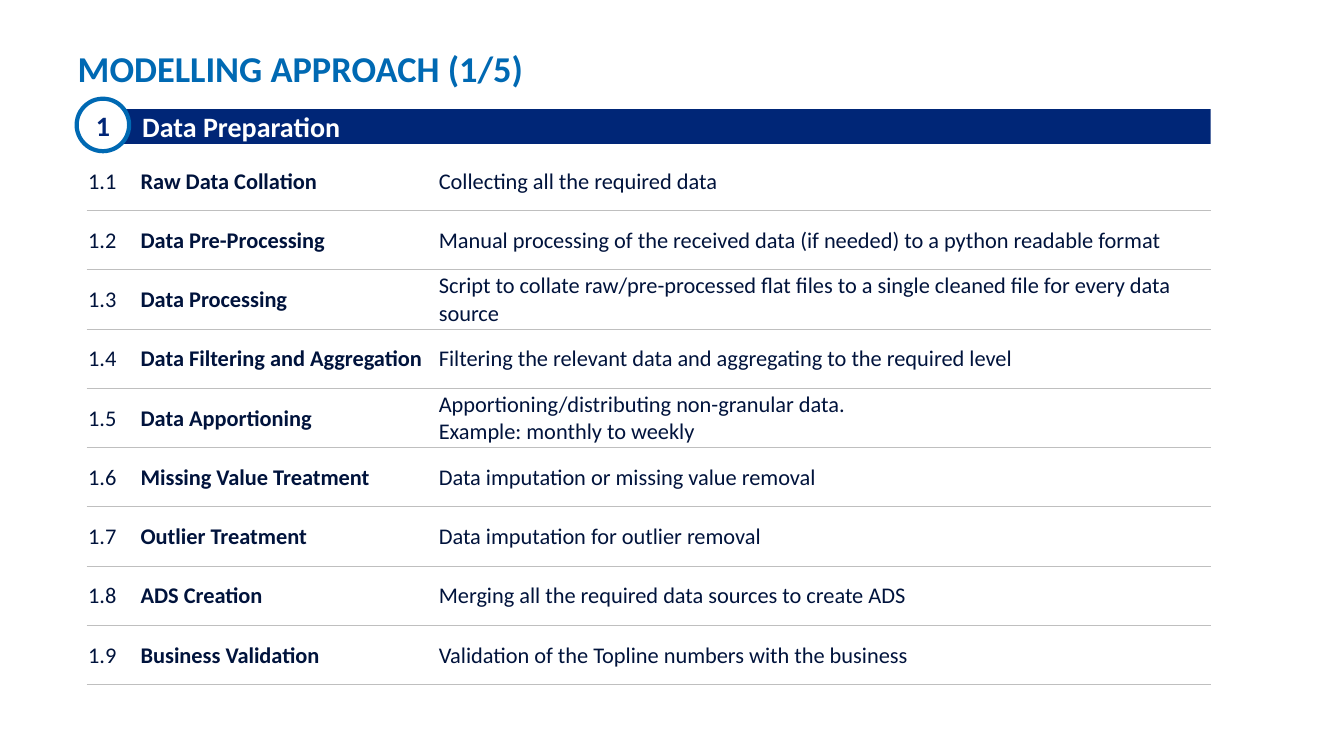
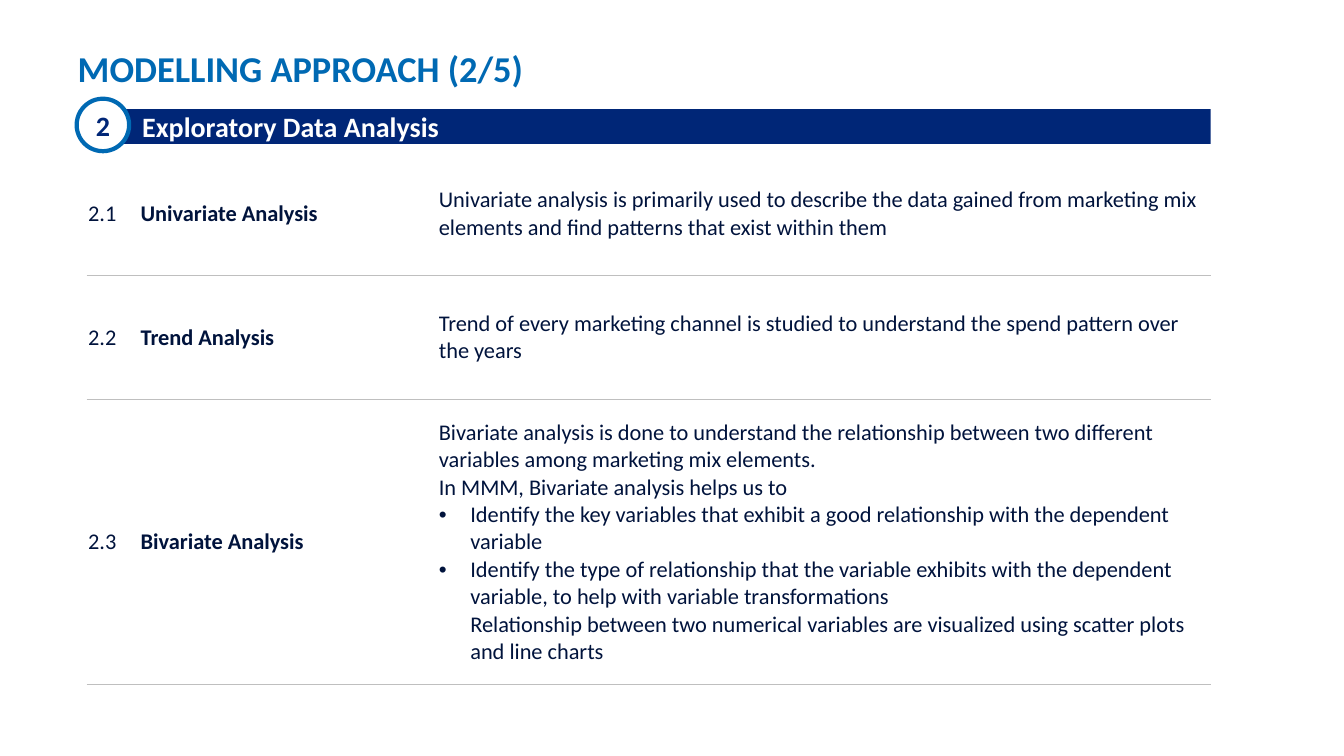
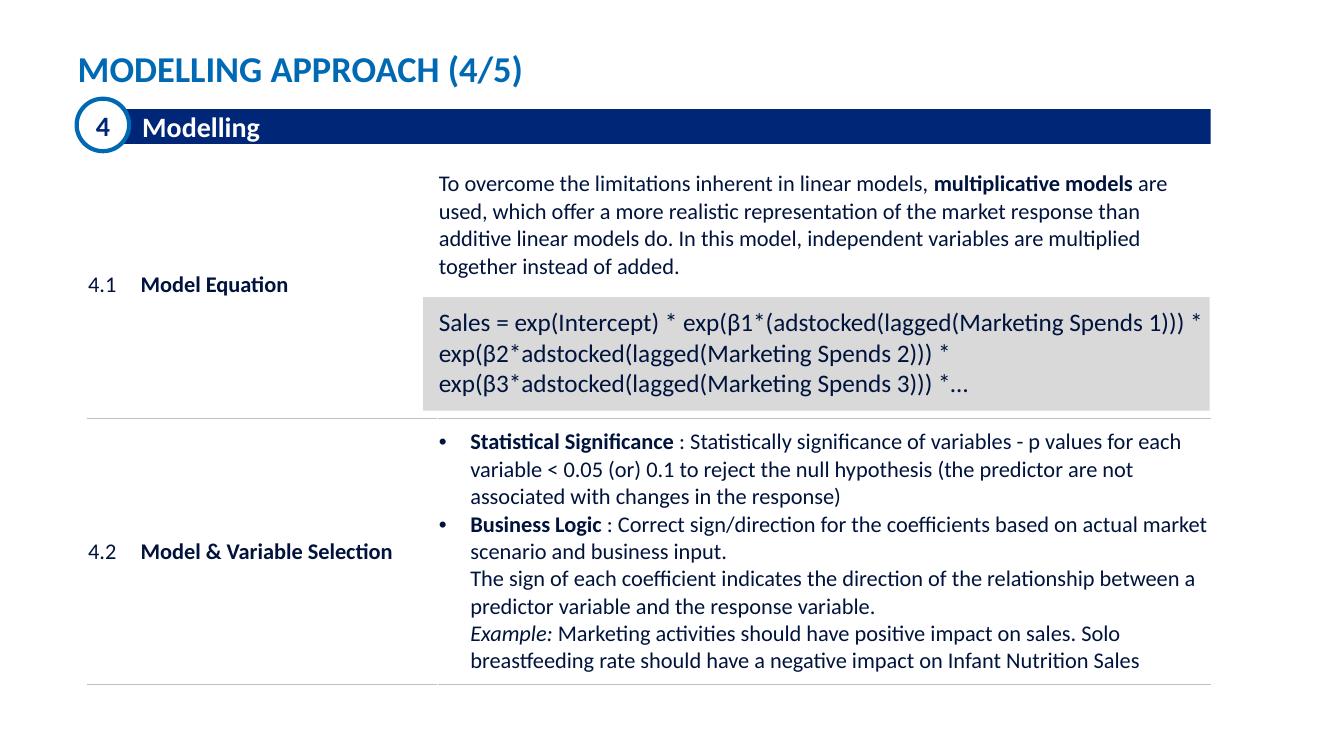
from dataclasses import dataclass

from lxml.etree import SubElement
from pptx import Presentation
from pptx.dml.color import RGBColor
from pptx.enum.shapes import MSO_SHAPE as SHAPE
from pptx.enum.text import MSO_ANCHOR as ANCHOR, PP_ALIGN as ALIGN
from pptx.oxml.ns import qn
from pptx.util import Emu, Pt

FONT = "Calibri"
BLUE = RGBColor(0x00, 0x69, 0xB3)
NAVY = RGBColor(0x00, 0x26, 0x77)
INK = RGBColor(0x00, 0x13, 0x3C)
WHITE = RGBColor(0xFF, 0xFF, 0xFF)
RULE = RGBColor(0xBF, 0xBF, 0xBF)
GREY = RGBColor(0xD9, 0xD9, 0xD9)

PX = 9525
SLIDE_SIZE = (1280, 720)
TITLE_BOX = (74, 5, 1080, 81)
BAND_BOX = (114, 104, 1039, 33)
BADGE_BOX = (73, 94, 50, 50)
EQUATION_BOX = (403, 283, 749, 108)
TABLE_LEFT, TABLE_TOP, TABLE_HEIGHT = 83, 144, 508
COLUMNS = (50, 284, 736)
BAND_INDENT = 12
BULLET_INDENT = 30


@dataclass(frozen=True)
class Run:
    text: str
    bold: bool = False
    italic: bool = False


@dataclass(frozen=True)
class Para:
    runs: tuple[Run, ...]
    bullet: bool = False
    size: int = 16
    before: float = 0


@dataclass(frozen=True)
class Step:
    name: str
    detail: tuple[Para, ...]
    weight: int = 1
    open_edge: bool = False  # no border between name and detail


@dataclass(frozen=True)
class Stage:
    number: int
    name: str
    steps: tuple[Step, ...]
    equation: bool = False


def plain(text: str, **options) -> Para:
    return Para((Run(text),), **options)


def step(name: str, text: str, weight: int = 1) -> Step:
    return Step(name, (plain(text),), weight)


STAGES = (
    Stage(1, "Data Preparation", (
        step("Raw Data Collation", "Collecting all the required data"),
        step("Data Pre-Processing",
             "Manual processing of the received data (if needed) to a python readable format"),
        step("Data Processing",
             "Script to collate raw/pre-processed flat files to a single cleaned file "
             "for every data source"),
        step("Data Filtering and Aggregation",
             "Filtering the relevant data and aggregating to the required level"),
        step("Data Apportioning",
             "Apportioning/distributing non-granular data.\nExample: monthly to weekly"),
        step("Missing Value Treatment", "Data imputation or missing value removal"),
        step("Outlier Treatment", "Data imputation for outlier removal"),
        step("ADS Creation", "Merging all the required data sources to create ADS"),
        step("Business Validation", "Validation of the Topline numbers with the business"),
    )),
    Stage(2, "Exploratory Data Analysis", (
        step("Univariate Analysis",
             "Univariate analysis is primarily used to describe the data gained from "
             "marketing mix elements and find patterns that exist within them", 118),
        step("Trend Analysis",
             "Trend of every marketing channel is studied to understand the spend pattern "
             "over the years", 118),
        Step("Bivariate Analysis", (
            plain("Bivariate analysis is done to understand the relationship between two "
                  "different variables among marketing mix elements.\n"
                  "In MMM, Bivariate analysis helps us to"),
            plain("Identify the key variables that exhibit a good relationship with the "
                  "dependent variable", bullet=True),
            plain("Identify the type of relationship that the variable exhibits with the "
                  "dependent variable, to help with variable transformations\n"
                  "Relationship between two numerical variables are visualized using "
                  "scatter plots and line charts", bullet=True),
        ), 272),
    )),
    Stage(4, "Modelling", (
        Step("Model Equation", (
            Para((
                Run("To overcome the limitations inherent in linear models, "),
                Run("multiplicative models", bold=True),
                Run(" are used, which offer a more realistic representation of the market "
                    "response than additive linear models do. In this model, independent "
                    "variables are multiplied together instead of added."),
            )),
            plain("Sales = exp(Intercept) * exp(β1*(adstocked(lagged(Marketing Spends 1))) * "
                  "exp(β2*adstocked(lagged(Marketing Spends 2))) * "
                  "exp(β3*adstocked(lagged(Marketing Spends 3))) *…", size=18, before=19.5),
        ), open_edge=True),
        Step("Model & Variable Selection", (
            Para((
                Run("Statistical Significance ", bold=True),
                Run(": Statistically significance of variables - p values for each variable "
                    "< 0.05 (or) 0.1 to reject the null hypothesis (the predictor are not "
                    "associated with changes in the response)"),
            ), bullet=True),
            Para((
                Run("Business Logic", bold=True),
                Run(" : Correct sign/direction for the coefficients based on actual market "
                    "scenario and business input.\nThe sign of each coefficient indicates the "
                    "direction of the relationship between a predictor variable and the "
                    "response variable.\n"),
                Run("Example:", italic=True),
                Run(" Marketing activities should have positive impact on sales. Solo "
                    "breastfeeding rate should have a negative impact on Infant Nutrition "
                    "Sales"),
            ), bullet=True),
        )),
    ), equation=True),
)


def px(*lengths: int) -> list[Emu]:
    return [Emu(n * PX) for n in lengths]


def set_margins(target, left: int, top: int, right: int, bottom: int) -> None:
    (target.margin_left, target.margin_top,
     target.margin_right, target.margin_bottom) = px(left, top, right, bottom)


def write(tf, *paras: Para, color=INK, align=ALIGN.LEFT, indent: int = 0, spacing=None) -> None:
    for i, para in enumerate(paras):
        p = tf.add_paragraph() if i else tf.paragraphs[0]
        p.alignment = align
        p.space_before = Pt(para.before)
        if spacing:
            p.line_spacing = spacing
        pPr = p._p.get_or_add_pPr()
        pPr.set("marL", str((BULLET_INDENT if para.bullet else indent) * PX))
        pPr.set("indent", str(-BULLET_INDENT * PX if para.bullet else 0))
        if para.bullet:
            SubElement(pPr, qn("a:buFont"), typeface="Arial")
            SubElement(pPr, qn("a:buChar"), char="•")
        for run in para.runs:
            for j, line in enumerate(run.text.split("\n")):
                if j:
                    p.add_line_break()
                if not line:
                    continue
                r = p.add_run()
                r.text = line
                r.font.name, r.font.size = FONT, Pt(para.size)
                r.font.bold, r.font.italic = run.bold, run.italic
                r.font.color.rgb = color


def heading(text: str, size: int) -> Para:
    return Para((Run(text, bold=True),), size=size)


def add_box(slide, kind, box: tuple[int, ...], fill: RGBColor, line: RGBColor | None = None):
    sp = slide.shapes.add_shape(kind, *px(*box))
    sp.shadow.inherit = False
    sp.fill.solid()
    sp.fill.fore_color.rgb = fill
    if line is None:
        sp.line.fill.background()
    else:
        sp.line.color.rgb = line
        sp.line.width = Pt(3)
    sp.text_frame.vertical_anchor = ANCHOR.MIDDLE
    return sp


def add_border(cell, side: str, color: RGBColor | None, width: float) -> None:
    """Sides must be added in the order L, R, T, B, before the cell's fill."""
    ln = SubElement(cell._tc.get_or_add_tcPr(), qn(f"a:ln{side}"), w=str(Pt(width)))
    if color is None:
        SubElement(ln, qn("a:noFill"))
    else:
        fill = SubElement(ln, qn("a:solidFill"))
        SubElement(fill, qn("a:srgbClr"), val=str(color))


def add_title(slide, text: str) -> None:
    tf = slide.shapes.add_textbox(*px(*TITLE_BOX)).text_frame
    tf.word_wrap = True
    tf.vertical_anchor = ANCHOR.BOTTOM
    set_margins(tf, 0, 0, 0, 0)
    write(tf, heading(text, 26), color=BLUE, spacing=0.9)


def add_steps(slide, stage: Stage) -> None:
    steps = stage.steps
    box = px(TABLE_LEFT, TABLE_TOP, sum(COLUMNS), TABLE_HEIGHT)
    table = slide.shapes.add_table(len(steps), len(COLUMNS), *box).table
    table.first_row = table.horz_banding = False
    for column, width in zip(table.columns, px(*COLUMNS)):
        column.width = width
    total = sum(s.weight for s in steps)
    for i, s in enumerate(steps):
        table.rows[i].height = Emu(TABLE_HEIGHT * PX * s.weight // total)
        contents = ((plain(f"{stage.number}.{i + 1}"),), (heading(s.name, 16),), s.detail)
        for j, paras in enumerate(contents):
            cell = table.cell(i, j)
            set_margins(cell, 1, 1, 1, 0)
            cell.vertical_anchor = ANCHOR.MIDDLE
            add_border(cell, "L", None if s.open_edge and j == 2 else WHITE, 1)
            add_border(cell, "R", None if s.open_edge and j == 1 else WHITE, 1)
            add_border(cell, "T", RULE if i else None, 0.5)
            add_border(cell, "B", RULE, 0.5)
            cell.fill.background()
            write(cell.text_frame, *paras)


def add_band(slide, stage: Stage) -> None:
    band = add_box(slide, SHAPE.RECTANGLE, BAND_BOX, NAVY)
    write(band.text_frame, heading(stage.name, 20), color=WHITE, indent=BAND_INDENT)
    badge = add_box(slide, SHAPE.OVAL, BADGE_BOX, WHITE, BLUE)
    badge.text_frame.word_wrap = False
    write(badge.text_frame, heading(str(stage.number), 20), color=NAVY, align=ALIGN.CENTER)


def main() -> None:
    prs = Presentation()
    prs.slide_width, prs.slide_height = px(*SLIDE_SIZE)
    for stage in STAGES:
        slide = prs.slides.add_slide(prs.slide_layouts[6])
        if stage.equation:
            add_box(slide, SHAPE.RECTANGLE, EQUATION_BOX, GREY)
        add_title(slide, f"MODELLING APPROACH ({stage.number}/5)")
        add_steps(slide, stage)
        add_band(slide, stage)
    prs.save("out.pptx")


if __name__ == "__main__":
    main()
